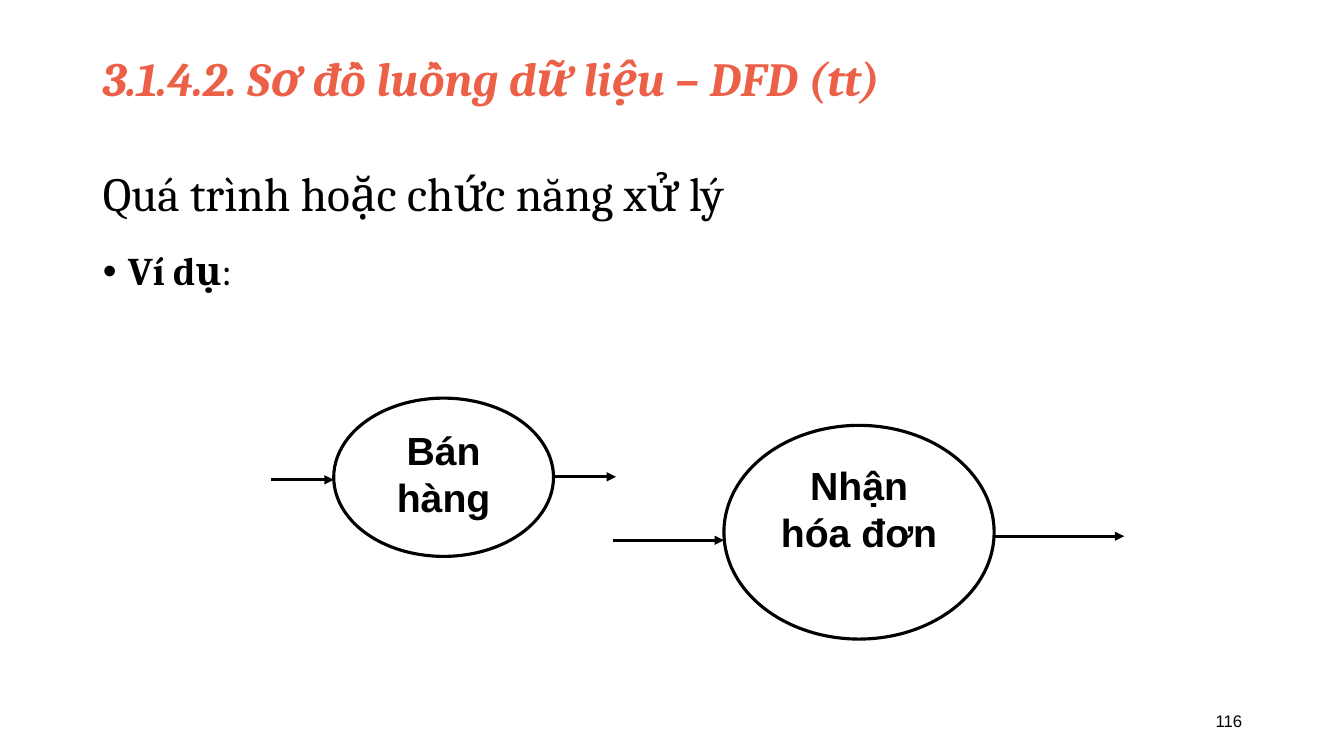
from lxml import etree
from pptx import Presentation
from pptx.dml.color import RGBColor
from pptx.enum.shapes import MSO_CONNECTOR, MSO_SHAPE
from pptx.enum.text import MSO_ANCHOR, MSO_AUTO_SIZE, PP_ALIGN
from pptx.oxml.ns import qn
from pptx.util import Emu, Pt

LEFT, CENTER, RIGHT = PP_ALIGN.LEFT, PP_ALIGN.CENTER, PP_ALIGN.RIGHT
TOP, MIDDLE = MSO_ANCHOR.TOP, MSO_ANCHOR.MIDDLE
NO_FIT = MSO_AUTO_SIZE.NONE
OVAL = MSO_SHAPE.OVAL
STRAIGHT = MSO_CONNECTOR.STRAIGHT
EMU_PER_PX = 9144
BLACK, WHITE, CORAL = "000000", "FFFFFF", "EB6047"
SERIF, SANS = "Cambria", "Arial"


def px(length):
    """Turn whole pixels, 100 to the inch, into EMU."""
    return Emu(length * EMU_PER_PX)


def color(hex_string):
    """Turn a hex string into a colour."""
    return RGBColor.from_string(hex_string)


class DiagramPage:
    """Hold the shared style and the current slide."""

    line_width = Pt(2.25)

    def __init__(self, deck):
        """Add a title and body slide to the deck."""
        self.page = deck.slides.add_slide(deck.slide_layouts[1])
        self.shapes = self.page.shapes

    def place(self, shape, left, top, width, height):
        """Move and size a shape."""
        shape.left, shape.top = px(left), px(top)
        shape.width, shape.height = px(width), px(height)

    def frame(self, shape, anchor):
        """Prepare the text frame of a shape and return its first paragraph."""
        text_frame = shape.text_frame
        text_frame.word_wrap = True
        text_frame.auto_size = NO_FIT
        text_frame.vertical_anchor = anchor
        return text_frame.paragraphs[0]

    def style(self, para, size, face, align=LEFT, ink=BLACK, bold=None, italic=None):
        """Set the alignment and font of a paragraph."""
        para.alignment = align
        font = para.font
        font.size, font.name = Pt(size), face
        font.bold, font.italic = bold, italic
        font.color.rgb = color(ink)

    def title(self, text, *bounds):
        """Fill the title placeholder."""
        box = self.shapes.title
        self.place(box, *bounds)
        para = self.frame(box, MIDDLE)
        para.text = text
        para.line_spacing = 0.9
        self.style(para, 34, SERIF)

    def body(self, strong, rest, *bounds):
        """Fill the body placeholder with one bullet that opens in bold."""
        box = self.page.placeholders[1]
        self.place(box, *bounds)
        para = self.frame(box, TOP)
        para.line_spacing = 0.9
        para.space_before = Pt(0)
        properties = para._p.get_or_add_pPr()
        properties.set("marL", str(px(25)))
        properties.set("indent", str(px(-25)))
        etree.SubElement(properties, qn("a:buFont"), typeface=SANS)
        etree.SubElement(properties, qn("a:buChar"), char="•")
        for text, bold in ((strong, True), (rest, False)):
            span = para.add_run()
            span.text = text
            span.font.bold = bold
        self.style(para, 28, SERIF)

    def text(self, text, bounds, size, face, spacing=1.0, **look):
        """Add a text box with one paragraph."""
        box = self.shapes.add_textbox(*map(px, bounds))
        para = self.frame(box, MIDDLE)
        para.text = text
        para.line_spacing = spacing
        self.style(para, size, face, **look)

    def process(self, text, *bounds):
        """Add an ellipse that stands for a process."""
        oval = self.shapes.add_shape(OVAL, *map(px, bounds))
        oval.shadow.inherit = False
        oval.fill.solid()
        oval.fill.fore_color.rgb = color(WHITE)
        oval.line.color.rgb = color(BLACK)
        oval.line.width = self.line_width
        para = self.frame(oval, TOP)
        para.text = text
        self.style(para, 28, SANS, CENTER, bold=True)

    def flow(self, start, end, level):
        """Add a level data flow arrow."""
        arrow = self.shapes.add_connector(STRAIGHT, px(start), px(level), px(end), px(level))
        arrow.line.color.rgb = color(BLACK)
        arrow.line.width = self.line_width
        etree.SubElement(arrow.line._get_or_add_ln(), qn("a:tailEnd"), type="triangle")
        etree.SubElement(arrow._element.spPr, qn("a:effectLst"))


def main():
    """Build the slide and save it."""
    deck = Presentation()
    deck.slide_width, deck.slide_height = px(1333), px(750)
    page = DiagramPage(deck)
    page.text("116", (942, 695, 300, 40), 12, SANS, align=RIGHT)
    page.title("Quá trình hoặc chức năng xử lý", 92, 154, 1178, 81)
    page.body("Ví dụ", ":", 92, 245, 1178, 545)
    page.process("Nhận hóa đơn", 718, 422, 268, 212)
    page.process("Bán hàng", 331, 395, 218, 157)
    for start, end, level in (
        (608, 718, 536),
        (986, 1115, 532),
        (269, 331, 476),
        (550, 611, 473),
    ):
        page.flow(start, end, level)
    page.text("3.1.4.2. Sơ đồ luồng dữ liệu – DFD (tt)", (92, 40, 1178, 81), 34, SERIF,
              spacing=0.9, ink=CORAL, bold=True, italic=True)
    deck.save("out.pptx")


if __name__ == "__main__":
    main()
